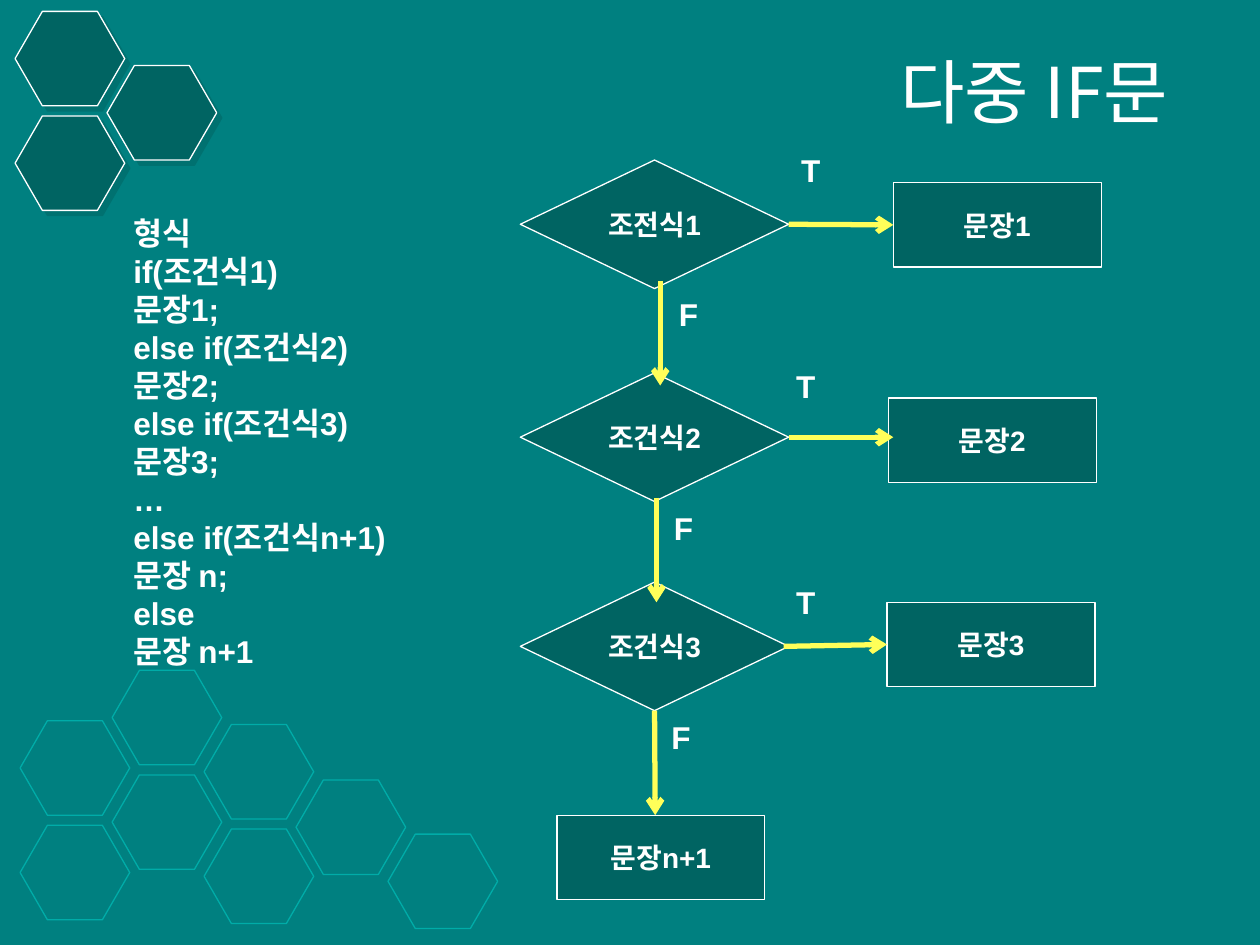
from lxml import etree
from pptx import Presentation
from pptx.dml.color import RGBColor
from pptx.enum.shapes import MSO_CONNECTOR, MSO_SHAPE
from pptx.enum.text import MSO_ANCHOR, MSO_AUTO_SIZE, PP_ALIGN
from pptx.oxml import parse_xml
from pptx.oxml.ns import nsdecls, qn
from pptx.util import Inches, Pt

TEAL = RGBColor(0x00, 0x80, 0x80)
DARK = RGBColor(0x00, 0x64, 0x62)
OUTLINE = RGBColor(0x00, 0xAC, 0xA8)
WHITE = RGBColor(0xFF, 0xFF, 0xFF)
YELLOW = RGBColor(0xFF, 0xFF, 0x59)
LATIN, KOREAN = "Arial", "Noto Sans CJK KR"

TOP, BOTTOM, LEFT, RIGHT = 0, 2, 1, 3
HEX_STEP = 0.73
HEX_PITCH = 0.83

SYNTAX = [
    "형식\vif(조건식1)", "문장1;", "else if(조건식2)", "문장2;",
    "else if(조건식3)", "문장3;", "…", "else if(조건식n+1)",
    "문장 n;", "else", "문장 n+1",
]


class SlideBuilder:
    def __init__(self, prs):
        self.slide = prs.slides.add_slide(prs.slide_layouts[5])
        self.shapes = self.slide.shapes
        fill = self.slide.background.fill
        fill.solid()
        fill.fore_color.rgb = TEAL

    def style_text(self, tf, size, font=LATIN, bold=True, align=None):
        for p in tf.paragraphs:
            p.alignment = align
            for r in p.runs:
                r.font.size, r.font.bold, r.font.name = Pt(size), bold, font
                r.font.color.rgb = WHITE
                ea = etree.SubElement(r.font._element, qn("a:ea"))
                ea.set("typeface", KOREAN)

    def title(self, text, x, y, w, h):
        sp = self.shapes.title
        sp.left, sp.top, sp.width, sp.height = map(Inches, (x, y, w, h))
        tf = sp.text_frame
        tf.text = text
        tf.vertical_anchor = MSO_ANCHOR.MIDDLE
        self.style_text(tf, 40, KOREAN, False, PP_ALIGN.RIGHT)

    def shape(self, kind, x, y, w, h, fill=DARK, line=WHITE):
        sp = self.shapes.add_shape(kind, *map(Inches, (x, y, w, h)))
        sp.shadow.inherit = False
        if fill is None:
            sp.fill.background()
        else:
            sp.fill.solid()
            sp.fill.fore_color.rgb = fill
        sp.line.color.rgb = line
        sp.line.width = Pt(0.75)
        return sp

    def hexagon(self, x, y, **colors):
        sp = self.shape(MSO_SHAPE.HEXAGON, x, y, 0.87, 0.75, **colors)
        sp.adjustments[0] = 0.289
        return sp

    def shadowed_hexagon(self, x, y):
        sp = self.hexagon(x, y)
        effects = sp._element.spPr.find(qn("a:effectLst"))
        effects.append(parse_xml(
            f'<a:outerShdw {nsdecls("a")} dist="{Pt(4.2)}" dir="2700000">'
            f'<a:srgbClr val="{DARK}"><a:alpha val="50000"/></a:srgbClr>'
            '</a:outerShdw>'))

    def node(self, kind, text, x, y, w, h):
        sp = self.shape(kind, x, y, w, h)
        tf = sp.text_frame
        tf.text = text
        tf.vertical_anchor = MSO_ANCHOR.MIDDLE
        self.style_text(tf, 16, align=PP_ALIGN.CENTER)
        return sp

    def decision(self, text, y):
        return self.node(MSO_SHAPE.FLOWCHART_DECISION, text, 4.13, y, 2.13, 1.02)

    def statement(self, text, x, y):
        return self.node(MSO_SHAPE.RECTANGLE, text, x, y, 1.65, 0.67)

    def arrow(self, x1, y1, x2, y2, begin=None, end=None):
        """Draw an arrow; begin and end are optional (shape, site) joins."""
        cx = self.shapes.add_connector(
            MSO_CONNECTOR.STRAIGHT, *map(Inches, (x1, y1, x2, y2)))
        if begin:
            cx.begin_connect(*begin)
        if end:
            cx.end_connect(*end)
        cx.line.color.rgb = YELLOW
        cx.line.width = Pt(3)
        etree.SubElement(cx.line._get_or_add_ln(), qn("a:tailEnd")).set("type", "arrow")
        etree.SubElement(cx._element.spPr, qn("a:effectLst"))

    def text(self, lines, x, y, w, h, wrap=False):
        tf = self.shapes.add_textbox(*map(Inches, (x, y, w, h))).text_frame
        tf.text = "\n".join(lines)
        tf.word_wrap = wrap
        tf.auto_size = MSO_AUTO_SIZE.SHAPE_TO_FIT_TEXT
        for p in tf.paragraphs:
            p.line_spacing = Pt(21.7)
        self.style_text(tf, 18)

    def label(self, text, x, y):
        self.text([text], x, y, 0.36, 0.4)


def draw_hexagons(s):
    columns = [(5.72, 2), (5.32, 2), (5.75, 2), (6.19, 1), (6.62, 1)]
    for col, (top, count) in enumerate(columns):
        for row in range(count):
            s.hexagon(0.16 + col * HEX_STEP, top + row * HEX_PITCH,
                      fill=None, line=OUTLINE)
    for x, y in [(0.12, 0.09 + HEX_PITCH), (0.12, 0.09), (0.12 + HEX_STEP, 0.52)]:
        s.shadowed_hexagon(x, y)


def draw_flowchart(s):
    d1, d2, d3 = [s.decision(text, y) for text, y in
                  [("조전식1", 1.27), ("조건식2", 2.96), ("조건식3", 4.62)]]
    s1, _, s3, _ = [s.statement(text, x, y) for text, x, y in
                    [("문장1", 7.09, 1.45), ("문장2", 7.05, 3.16),
                     ("문장3", 7.04, 4.78), ("문장n+1", 4.42, 6.47)]]

    s.arrow(6.26, 1.78, 7.09, 1.78, begin=(d1, RIGHT), end=(s1, LEFT))
    s.arrow(6.26, 3.47, 7.09, 3.47, begin=(d2, RIGHT))
    s.arrow(6.22, 5.13, 7.04, 5.12, end=(s3, LEFT))
    s.arrow(5.24, 2.23, 5.24, 3.06)
    s.arrow(5.21, 3.95, 5.21, 4.78)
    s.arrow(5.2, 5.64, 5.2, 6.47, begin=(d3, BOTTOM))

    for x, y in [(6.26, 1.15), (6.22, 2.86), (6.22, 4.58)]:
        s.label("T", x, y)
    for x, y in [(5.29, 2.29), (5.25, 3.99), (5.23, 5.65)]:
        s.label("F", x, y)


def main():
    prs = Presentation()
    prs.slide_width, prs.slide_height = Inches(10), Inches(7.5)
    s = SlideBuilder(prs)
    draw_hexagons(s)
    s.title("다중 IF문", 1.85, 0.28, 7.52, 0.87)
    draw_flowchart(s)
    s.text(SYNTAX, 0.96, 1.65, 2.27, 4.04, wrap=True)
    prs.save("out.pptx")


if __name__ == "__main__":
    main()
